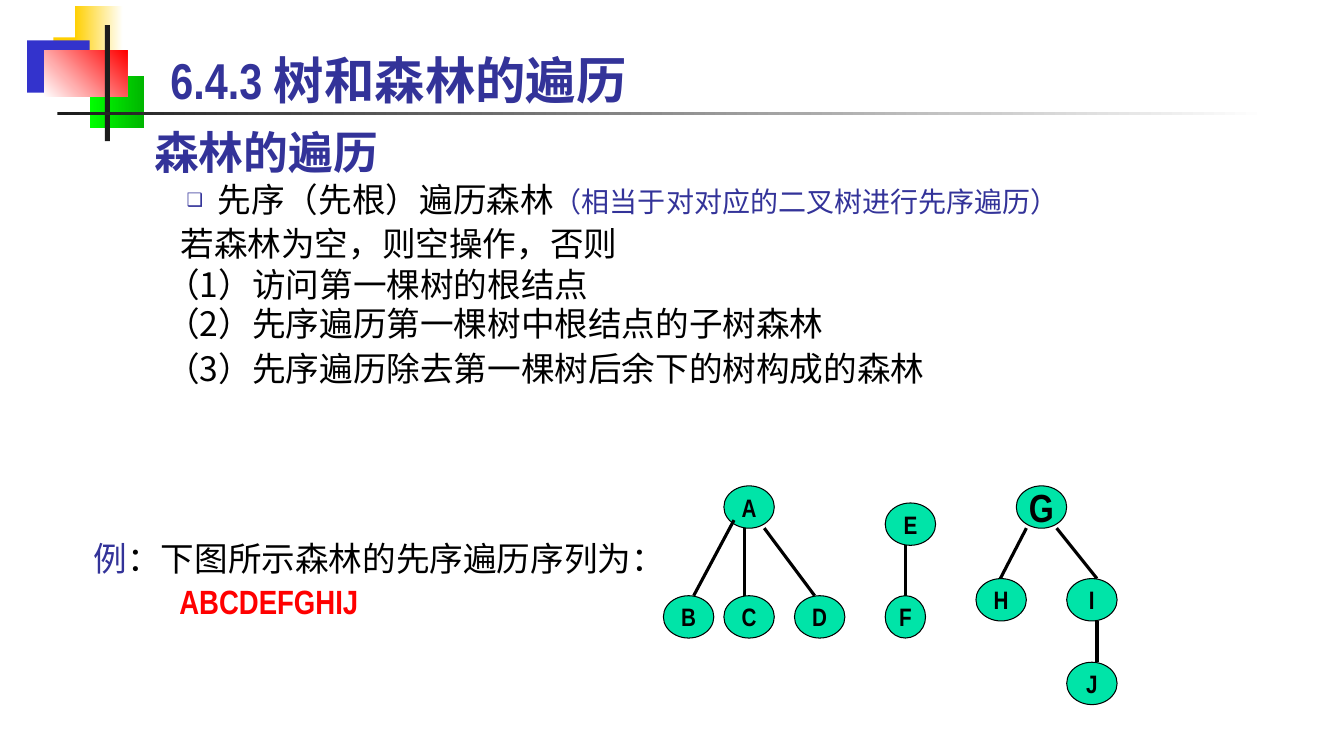
from lxml import etree
from pptx import Presentation
from pptx.dml.color import RGBColor
from pptx.enum.shapes import MSO_CONNECTOR, MSO_SHAPE
from pptx.enum.text import MSO_ANCHOR, MSO_AUTO_SIZE, PP_ALIGN
from pptx.oxml.ns import qn
from pptx.util import Inches, Pt

RECT, OVAL = MSO_SHAPE.RECTANGLE, MSO_SHAPE.OVAL
STRAIGHT = MSO_CONNECTOR.STRAIGHT
TOP, MIDDLE = MSO_ANCHOR.TOP, MSO_ANCHOR.MIDDLE
NO_FIT = MSO_AUTO_SIZE.NONE
LEFT, CENTER = PP_ALIGN.LEFT, PP_ALIGN.CENTER

BLACK = RGBColor(0x00, 0x00, 0x00)
WHITE = RGBColor(0xFF, 0xFF, 0xFF)
CHARCOAL = RGBColor(0x1C, 0x1C, 0x1C)
NAVY = RGBColor(0x33, 0x33, 0x99)
BLUE = RGBColor(0x33, 0x33, 0xCC)
YELLOW = RGBColor(0xFF, 0xCF, 0x01)
RED = RGBColor(0xFF, 0x00, 0x00)
LIME = RGBColor(0x00, 0xFF, 0x00)
GREEN = RGBColor(0x00, 0xB6, 0x00)
MINT = RGBColor(0x00, 0xE4, 0xA8)

NARROW, CJK = "Arial Narrow", "Noto Sans CJK SC"

DECOR = [
    (0.53, 0.37, 0.64, 0.52, [YELLOW], 0),
    (0.74, 0.06, 0.48, 0.52, [YELLOW, WHITE], 0),
    (0.27, 0.4, 0.62, 0.52, [BLUE], 0),
    (0.89, 0.75, 0.54, 0.52, [LIME, GREEN], 0),
    (0.44, 0.5, 0.82, 0.46, [WHITE, RED], 45),
    (1.04, 0.25, 0.05, 1.15, [CHARCOAL], 0),
    (0.57, 1.11, 12, 0.03, [CHARCOAL, WHITE], 0),
]
STEPS = [
    ("若森林为空，则空操作，否则", 0.44, 4),
    ("（1）访问第一棵树的根结点", 0.3, 1.5),
    ("（2）先序遍历第一棵树中根结点的子树森林", 0.3, 0),
    ("（3）先序遍历除去第一棵树后余下的树构成的森林", 0.3, 5),
]
ROOTS = [("A", 0.6, 0, 0.5, 18), ("G", 3.5, 0, 0.5, 28),
         ("E", 2.2, 0.17, 0.5, 18)]
CHILDREN = [("B", 0, 1.09, 0.5, 18), ("C", 0.6, 1.09, 0.5, 18),
            ("D", 1.3, 1.09, 0.5, 18), ("F", 2.2, 1.09, 0.4, 18),
            ("H", 3.1, 0.92, 0.5, 18), ("I", 4, 0.92, 0.5, 18),
            ("J", 4, 1.75, 0.5, 18)]
EDGES = [(0.7, 0.34, 0.3, 1.09), (0.8, 0.42, 0.8, 1.09),
         (1, 0.42, 1.5, 1.09), (2.4, 0.59, 2.4, 1.09),
         (3.6, 0.42, 3.3, 1), (3.9, 0.42, 4.3, 0.92),
         (4.3, 1.34, 4.3, 1.75)]


def style_run(r, size, color, font=CJK, bold=False):
    """Format a run, with the Chinese font for East Asian text."""
    r.font.size = Pt(size)
    r.font.bold = bold
    r.font.color.rgb = color
    r.font.name = font
    etree.SubElement(r.font._element, qn("a:ea")).set("typeface", CJK)


def add_runs(p, *runs):
    """Add (text, size, color, ...) runs to a paragraph."""
    for text, *style in runs:
        r = p.add_run()
        r.text = text
        style_run(r, *style)


def set_indent(p, margin, indent=0):
    """Set a paragraph's left margin and first-line indent in inches."""
    pPr = p._p.get_or_add_pPr()
    pPr.set("marL", str(Inches(margin)))
    pPr.set("indent", str(Inches(indent)))
    return pPr


def place(sp, left, top, width, height, anchor=TOP):
    """Move a text shape and make it wrap at a fixed size."""
    sp.left, sp.top = Inches(left), Inches(top)
    sp.width, sp.height = Inches(width), Inches(height)
    tf = sp.text_frame
    tf.word_wrap = True
    tf.auto_size = NO_FIT
    tf.vertical_anchor = anchor
    return tf


def add_decor(s):
    """Draw the coloured blocks and the ruled cross of the header."""
    for left, top, width, height, colors, angle in DECOR:
        sp = s.shapes.add_shape(RECT, Inches(left), Inches(top),
                                Inches(width), Inches(height))
        sp.shadow.inherit = False
        sp.line.fill.background()
        if len(colors) == 1:
            sp.fill.solid()
            sp.fill.fore_color.rgb = colors[0]
            continue
        sp.fill.gradient()
        sp.fill.gradient_angle = angle
        for stop, color in zip(sp.fill.gradient_stops, colors):
            stop.color.rgb = color


def add_title(s, *box):
    """Fill the title placeholder."""
    p = place(s.shapes.title, *box, MIDDLE).paragraphs[0]
    p.alignment = LEFT
    add_runs(p, ("6.4.3 树和森林的遍历", 36, NAVY, NARROW, True))


def add_steps(s, *box):
    """Fill the body placeholder with the traversal rule and its steps."""
    tf = place(s.placeholders[1], *box)
    p = tf.paragraphs[0]
    p.level = 1
    p.line_spacing = 0.96
    p.space_before = Pt(0)
    pPr = set_indent(p, 0.81, -0.31)
    color = etree.SubElement(pPr, qn("a:buClr"))
    etree.SubElement(color, qn("a:srgbClr")).set("val", str(NAVY))
    etree.SubElement(pPr, qn("a:buSzPct")).set("val", "55000")
    etree.SubElement(pPr, qn("a:buChar")).set("char", "❑")
    add_runs(p, ("先序（先根）遍历森林", 24, BLACK),
             ("（相当于对对应的二叉树进行先序遍历）", 20, NAVY))
    for text, margin, before in STEPS:
        p = tf.add_paragraph()
        p.line_spacing = 0.96
        p.space_before = Pt(before)
        etree.SubElement(set_indent(p, margin), qn("a:buNone"))
        add_runs(p, (text, 24, BLACK))


def add_subtitle(s, *box):
    """Add the heading under the rule."""
    tf = place(s.shapes.add_textbox(0, 0, 0, 0), *box)
    add_runs(tf.paragraphs[0], ("森林的遍历", 32, NAVY, NARROW, True))


def add_example(s, *box):
    """Add the example question and its answer."""
    tf = place(s.shapes.add_textbox(0, 0, 0, 0), *box)
    question, answer = tf.paragraphs[0], tf.add_paragraph()
    for p in (question, answer):
        p.line_spacing = 0.9
        p.space_before = Pt(4.8)
    add_runs(question, ("例", 24, NAVY),
             ("：下图所示森林的先序遍历序列为：", 24, BLACK))
    set_indent(answer, 0.85)
    add_runs(answer, ("ABCDEFGHIJ", 24, RED, NARROW, True))


def add_node(s, left, top, name, width, size):
    """Draw one tree node with its letter."""
    sp = s.shapes.add_shape(OVAL, Inches(left), Inches(top),
                            Inches(width), Inches(0.42))
    sp.shadow.inherit = False
    sp.fill.solid()
    sp.fill.fore_color.rgb = MINT
    sp.line.color.rgb = BLACK
    sp.line.width = Pt(0.75)
    tf = sp.text_frame
    tf.word_wrap = False
    tf.vertical_anchor = MIDDLE
    tf.paragraphs[0].alignment = CENTER
    add_runs(tf.paragraphs[0], (name, size, BLACK, NARROW, True))


def add_forest(s, left, top):
    """Draw the three trees from the given corner."""
    for name, x, y, width, size in ROOTS:
        add_node(s, left + x, top + y, name, width, size)
    for x1, y1, x2, y2 in EDGES:
        edge = s.shapes.add_connector(
            STRAIGHT, Inches(left + x1), Inches(top + y1),
            Inches(left + x2), Inches(top + y2))
        edge.line.color.rgb = BLACK
        edge.line.width = Pt(2.25)
        etree.SubElement(edge._element.spPr, qn("a:effectLst"))
    for name, x, y, width, size in CHILDREN:
        add_node(s, left + x, top + y, name, width, size)


def main():
    """Build the slide and save it."""
    prs = Presentation()
    prs.slide_width, prs.slide_height = Inches(13.33), Inches(7.5)
    s = prs.slides.add_slide(prs.slide_layouts[1])
    add_decor(s)
    add_title(s, 1.59, 0.43, 8.5, 0.72)
    add_steps(s, 1.25, 1.75, 9.67, 3.08)
    add_subtitle(s, 1.43, 1.19, 5.25, 0.64)
    add_example(s, 0.83, 5.33, 6.75, 1.11)
    add_forest(s, 6.58, 4.82)
    prs.save("out.pptx")


if __name__ == "__main__":
    main()
